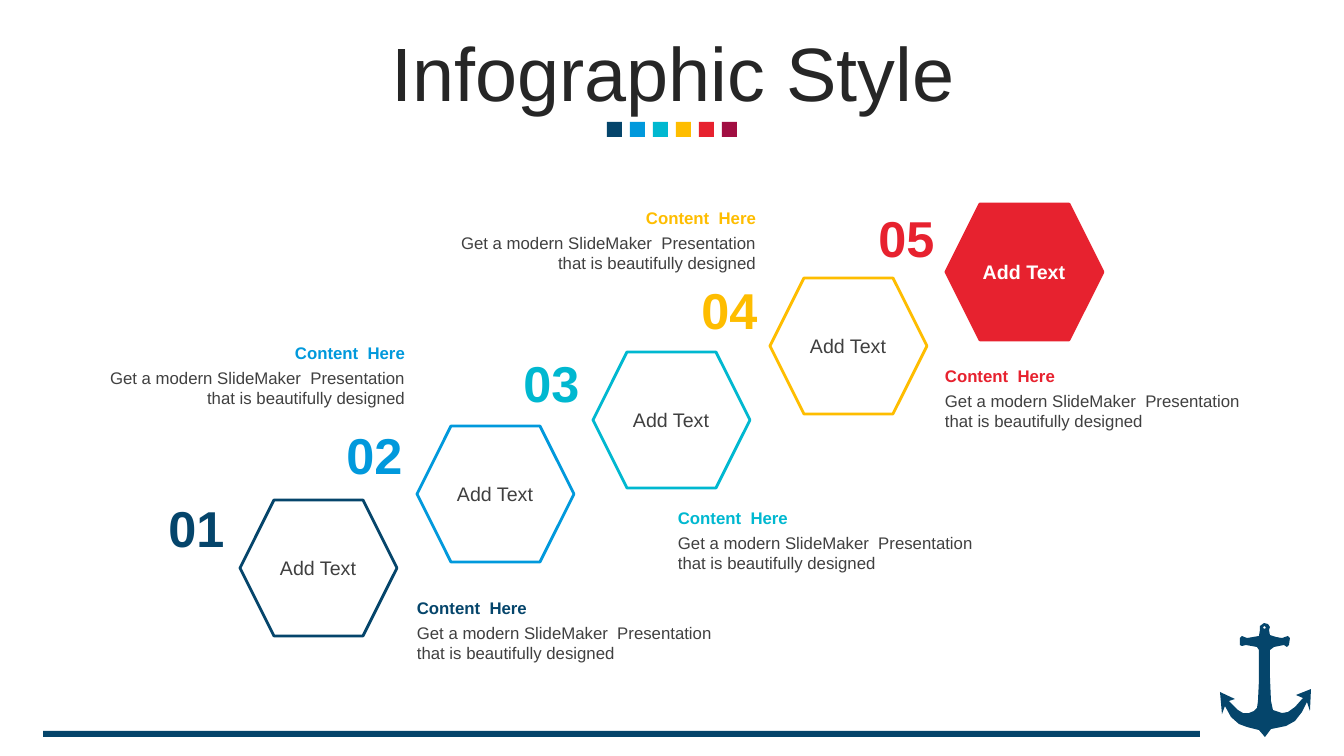
from pptx import Presentation
from pptx.dml.color import RGBColor
from pptx.enum.shapes import MSO_SHAPE as SHAPE
from pptx.enum.text import MSO_ANCHOR as ANCHOR, PP_ALIGN as ALIGN
from pptx.util import Pt

PX = 914400 / 100.8
COLORS = {
    "navy": "05456B", "blue": "0199DC", "teal": "00B8D0", "yellow": "FEBD00",
    "red": "E7222F", "wine": "A10E42", "title": "262626", "body": "404040",
    "white": "FFFFFF",
}
STEPS = [
    ("navy", 407, 593, 339, ALIGN.LEFT),
    ("blue", 86, 338, 329, ALIGN.RIGHT),
    ("teal", 668, 503, 339, ALIGN.LEFT),
    ("yellow", 437, 203, 329, ALIGN.RIGHT),
    ("red", 935, 361, 328, ALIGN.LEFT),
]
BODY = "Get a modern SlideMaker  Presentation that is beautifully designed"
ANCHOR_OUTLINE = [
    (1264, 623), (1268, 624), (1270, 627), (1269, 630), (1270, 635), (1276, 637),
    (1282, 638), (1288, 636), (1290, 638), (1289, 645), (1287, 647), (1284, 645),
    (1274, 647), (1270, 650), (1270, 677), (1271, 701), (1273, 710), (1282, 713),
    (1288, 712), (1295, 707), (1303, 698), (1296, 695), (1311, 689), (1310, 711),
    (1307, 702), (1302, 712), (1295, 721), (1286, 726), (1271, 729), (1265, 737),
    (1259, 730), (1247, 727), (1239, 724), (1231, 717), (1225, 706), (1222, 714),
    (1220, 692), (1235, 699), (1229, 701), (1238, 710), (1243, 713), (1249, 713),
    (1254, 711), (1257, 708), (1258, 701), (1259, 680), (1259, 650), (1257, 647),
    (1246, 645), (1242, 646), (1240, 645), (1240, 638), (1242, 636), (1247, 638),
    (1259, 636), (1260, 630), (1260, 626),
]
ANCHOR_HOLE = [(1265, 626), (1263, 627), (1264, 629), (1266, 628)]


def px(*lengths):
    return [round(n * PX) for n in lengths]


def rgb(name):
    return RGBColor.from_string(COLORS[name])


def paint(sp, fill=None, line=None):
    sp.shadow.inherit = False
    if fill:
        sp.fill.solid()
        sp.fill.fore_color.rgb = rgb(fill)
    else:
        sp.fill.background()
    if line:
        sp.line.color.rgb = rgb(line)
        sp.line.width = Pt(2)
    else:
        sp.line.fill.background()


def add_shape(slide, kind, box, fill=None, line=None):
    paint(slide.shapes.add_shape(kind, *px(*box)), fill, line)


def write(sp, text, size, color, align=ALIGN.CENTER, bold=False, anchor=ANCHOR.MIDDLE):
    tf = sp.text_frame
    tf.word_wrap = True
    tf.vertical_anchor = anchor
    p = tf.paragraphs[0]
    p.text = text
    p.alignment = align
    p.font.name = "Arial"
    p.font.size = Pt(size)
    p.font.bold = bold
    p.font.color.rgb = rgb(color)
    return p


def add_text(slide, box, *args, **kwargs):
    write(slide.shapes.add_textbox(*px(*box)), *args, **kwargs)


def add_title(slide, text):
    sp = slide.shapes.title
    sp.left, sp.top, sp.width, sp.height = px(35, 37, 1276, 80)
    write(sp, text, 54, "title").line_spacing = 0.9


def add_anchor(slide):
    fb = slide.shapes.build_freeform(*ANCHOR_OUTLINE[0], scale=PX)
    fb.add_line_segments(ANCHOR_OUTLINE[1:])
    fb.move_to(*ANCHOR_HOLE[0])
    fb.add_line_segments(ANCHOR_HOLE[1:])
    paint(fb.convert_to_shape(), "navy")


def add_step(slide, i, color, left, top, width, align):
    last = i == len(STEPS) - 1
    x, y = round(240 + 176.6 * i), round(500 - 73.9 * i)
    add_shape(slide, SHAPE.HEXAGON, (x, y, 157, 136), color if last else None, color)
    number = (round(155 + 177.6 * i), round(491 - 72.6 * i), 83, 72)
    add_text(slide, number, f"{i + 1:02}", 36, color, bold=True)
    add_text(slide, (x + 10, y + 51, 136, 34), "Add Text", 14,
             "white" if last else "body", bold=last)
    add_text(slide, (left, top + 25, width, 50), BODY, 12, "body", align,
             anchor=ANCHOR.TOP)
    add_text(slide, (left, top, width, 30), "Content  Here", 12, color, align, bold=True)


def main():
    """Build the five-step hexagon staircase slide."""
    prs = Presentation()
    prs.slide_width, prs.slide_height = px(1344, 756)
    slide = prs.slides.add_slide(prs.slide_layouts[5])
    add_shape(slide, SHAPE.RECTANGLE, (43, 731, 1157, 6), "navy")
    add_anchor(slide)
    for i, color in enumerate(("navy", "blue", "teal", "yellow", "red", "wine")):
        add_shape(slide, SHAPE.RECTANGLE, (607 + 23 * i, 122, 15, 15), color)
    add_title(slide, "Infographic Style")
    for i, step in enumerate(STEPS):
        add_step(slide, i, *step)
    prs.save("out.pptx")


if __name__ == "__main__":
    main()
